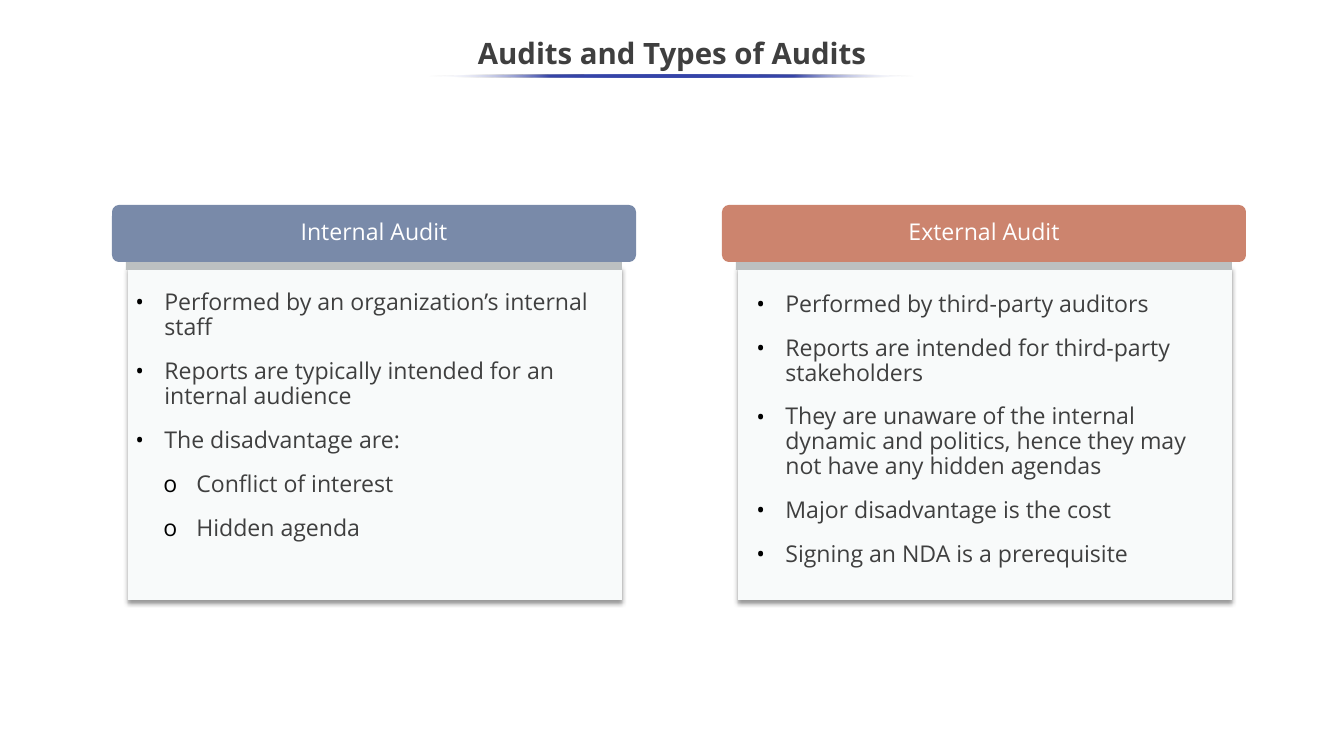
from lxml import etree
from pptx import Presentation
from pptx.dml.color import RGBColor
from pptx.enum.shapes import MSO_SHAPE
from pptx.enum.text import MSO_ANCHOR, PP_ALIGN
from pptx.oxml import parse_xml
from pptx.oxml.ns import nsdecls, qn
from pptx.util import Pt

PX = 12095  # EMU per px
FONT = "Open Sans"
COLORS = {"ink": "3F3F3F", "white": "FFFFFF", "black": "000000", "card": "F8FAFA",
          "strip": "BCC0C1", "slate": "798AA9", "coral": "CC846E", "blue": "3645A9"}

deck = Presentation()
deck.slide_width, deck.slide_height = 1344 * PX, 756 * PX
slide = deck.slides.add_slide(deck.slide_layouts[6])


def add_box(kind, x, y, w, h, color=None):
    """Add a flat shape, or a text box when kind is None."""
    area = [n * PX for n in (x, y, w, h)]
    if kind is None:
        box = slide.shapes.add_textbox(*area)
    else:
        box = slide.shapes.add_shape(kind, *area)
        box.shadow.inherit = False
        box.line.fill.background()
        box.fill.solid()
        box.fill.fore_color.rgb = RGBColor.from_string(COLORS[color])
    box.text_frame.word_wrap = True
    box.text_frame.vertical_anchor = MSO_ANCHOR.MIDDLE
    return box


def set_text(para, text, size, color, align, bold=False):
    para.text = text
    para.alignment = align
    para.line_spacing = 0.9
    para.font.name = FONT
    para.font.size = Pt(size)
    para.font.bold = bold
    para.font.color.rgb = RGBColor.from_string(COLORS[color])


# Title
title = add_box(None, -1, 26, 1346, 57)
set_text(title.text_frame.paragraphs[0], "Audits and Types of Audits", 28, "ink",
         PP_ALIGN.CENTER, True)

# Columns: left edge, heading, colour, text left, text height, (level, point)
columns = [
    (112, "Internal Audit", "slate", 128, 280, [
        (0, "Performed by an organization’s internal staff"),
        (0, "Reports are typically intended for an internal audience"),
        (0, "The disadvantage are:"),
        (1, "Conflict of interest"),
        (1, "Hidden agenda")]),
    (722, "External Audit", "coral", 749, 308, [
        (0, "Performed by third-party auditors"),
        (0, "Reports are intended for third-party stakeholders"),
        (0, "They are unaware of the internal dynamic and politics, "
            "hence they may not have any hidden agendas"),
        (0, "Major disadvantage is the cost"),
        (0, "Signing an NDA is a prerequisite")]),
]
marks = [("•", 29, 29), ("o", 61, 33)]  # sign, margin, hang

for left, head, color, start, height, points in columns:
    # Card with shadow
    card = add_box(MSO_SHAPE.RECTANGLE, left + 16, 267, 494, 333, "card")
    card._element.spPr.find(qn("a:effectLst")).append(parse_xml(
        f'<a:outerShdw {nsdecls("a")} blurRad="50800" dist="38100" dir="5400000">'
        f'<a:srgbClr val="{COLORS["black"]}"><a:alpha val="40000"/></a:srgbClr>'
        '</a:outerShdw>'))

    # Strip and heading
    add_box(MSO_SHAPE.RECTANGLE, left + 14, 261, 496, 9, "strip")
    tab = add_box(MSO_SHAPE.ROUNDED_RECTANGLE, left, 205, 524, 57, color)
    tab.adjustments[0] = 0.12
    set_text(tab.text_frame.paragraphs[0], head, 22, "white", PP_ALIGN.CENTER)

    # Bullet list
    frame = add_box(None, start, 276, 471, height).text_frame
    for i, (level, point) in enumerate(points):
        para = frame.add_paragraph() if i else frame.paragraphs[0]
        sign, margin, hang = marks[level]
        props = para._p.get_or_add_pPr()
        props.set("marL", str(margin * PX))
        props.set("indent", str(-hang * PX))
        tint = etree.SubElement(props, qn("a:buClr"))
        etree.SubElement(tint, qn("a:srgbClr"), val=COLORS["black"])
        etree.SubElement(props, qn("a:buFont"), typeface=FONT)
        etree.SubElement(props, qn("a:buChar"), char=sign)
        set_text(para, point, 22, "ink", PP_ALIGN.LEFT)
        if i:
            para.space_before = Pt(18)

# Title underline, fading out at both ends
rule = add_box(MSO_SHAPE.OVAL, 429, 75, 486, 3, "blue")
stops = ""
for spot, name, alpha in [(0, "white", 0), (25, "blue", 100), (50, "blue", 100),
                          (75, "blue", 100), (100, "white", 0)]:
    stops += (f'<a:gs pos="{spot * 1000}"><a:srgbClr val="{COLORS[name]}">'
              f'<a:alpha val="{alpha * 1000}"/></a:srgbClr></a:gs>')
props = rule._element.spPr
props.replace(props.find(qn("a:solidFill")), parse_xml(
    f'<a:gradFill {nsdecls("a")}><a:gsLst>{stops}</a:gsLst>'
    '<a:lin ang="10800000" scaled="0"/></a:gradFill>'))

deck.save("out.pptx")
